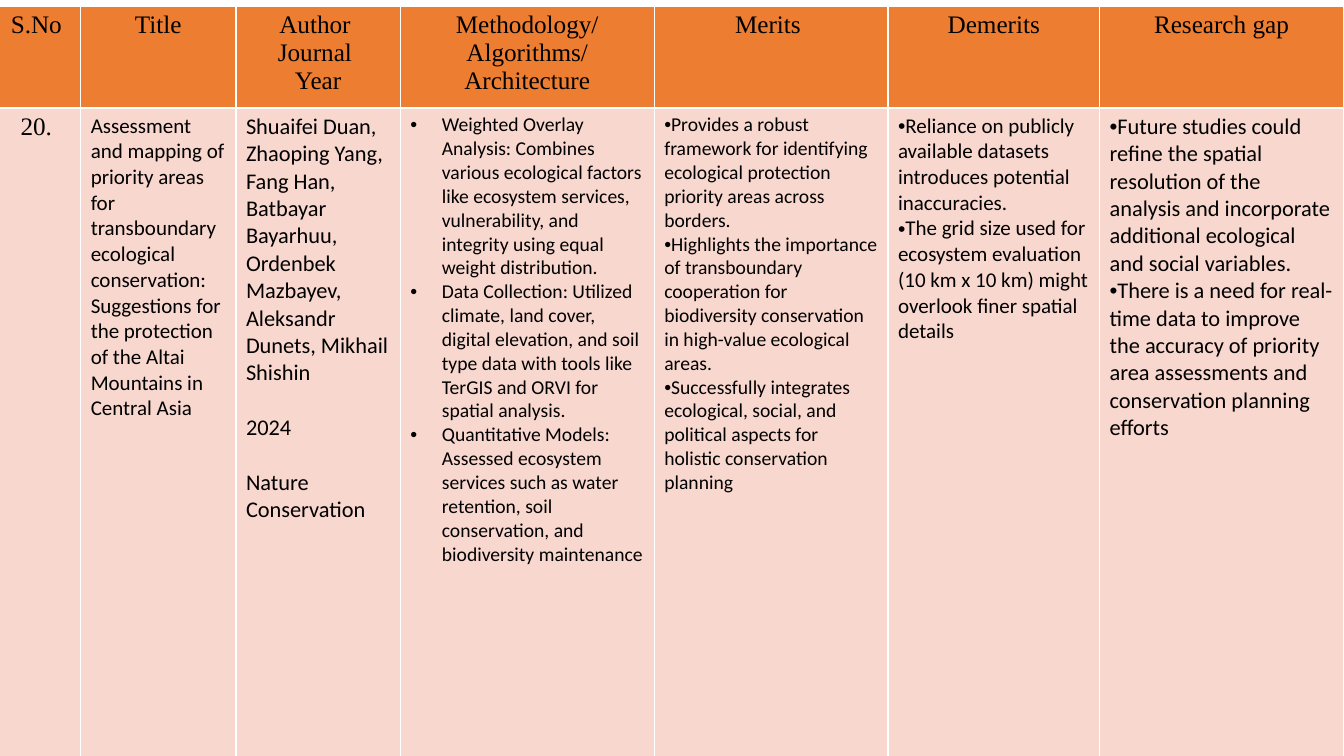
from lxml import etree
from pptx import Presentation
from pptx.dml.color import RGBColor
from pptx.enum import text
from pptx.oxml import ns
from pptx.util import Pt

COLORS = {"header": "ED7D31", "body": "F8D7CE", "line": "FFFFFF", "ink": "000000"}
SERIF, SANS = "Times New Roman", "Calibri"
LEFT, TOP = -5.76, 4.5
ROW_HEIGHTS = [72.7, 468.7]
HEADER_FORMAT = dict(font=SERIF, size=18, centred=True)

# Columns: width, heading lines, body paragraphs, body format
COLUMNS = [
    (63.4, ["S.No"], ["20."], HEADER_FORMAT),
    (110.9, ["Title"],
     ["Assessment and mapping of priority areas for transboundary ecological "
      "conservation: Suggestions for the protection of the Altai Mountains in Central Asia"],
     dict(size=15)),
    (117.4, ["Author ", "Journal ", "Year"],
     ["Shuaifei Duan, Zhaoping Yang, Fang Han, Batbayar Bayarhuu, Ordenbek Mazbayev, "
      "Aleksandr Dunets, Mikhail Shishin",
      "2024",
      "Nature Conservation"],
     dict(size=16, gap=19.6)),
    (181.4, ["Methodology/", "Algorithms/", "Architecture"],
     ["Weighted Overlay Analysis: Combines various ecological factors like ecosystem "
      "services, vulnerability, and integrity using equal weight distribution.",
      "Data Collection: Utilized climate, land cover, digital elevation, and soil type "
      "data with tools like TerGIS and ORVI for spatial analysis.",
      "Quantitative Models: Assessed ecosystem services such as water retention, soil "
      "conservation, and biodiversity maintenance"],
     dict(size=14, bullet=True, indent=22.5)),
    (167, ["Merits "],
     ["Provides a robust framework for identifying ecological protection priority areas "
      "across borders.",
      "Highlights the importance of transboundary cooperation for biodiversity "
      "conservation in high-value ecological areas.",
      "Successfully integrates ecological, social, and political aspects for holistic "
      "conservation planning"],
     dict(size=14, bullet=True)),
    (151.2, ["Demerits"],
     ["Reliance on publicly available datasets introduces potential inaccuracies.",
      "The grid size used for ecosystem evaluation (10 km x 10 km) might overlook finer "
      "spatial details"],
     dict(size=15, bullet=True)),
    (174.2, ["Research gap"],
     ["Future studies could refine the spatial resolution of the analysis and incorporate "
      "additional ecological and social variables.",
      "There is a need for real-time data to improve the accuracy of priority area "
      "assessments and conservation planning efforts"],
     dict(size=16, bullet=True)),
]


def color(name):
    return RGBColor.from_string(COLORS[name])


def add_bullet(para, indent):
    properties = para._p.get_or_add_pPr()
    properties.set("marL", str(Pt(indent)))
    properties.set("indent", str(-Pt(indent)))
    etree.SubElement(properties, ns.qn("a:buFont"), typeface="Arial")
    etree.SubElement(properties, ns.qn("a:buChar"), char="•")


def write(cell, lines, font=SANS, size=16, centred=False, bullet=False, indent=0, gap=0):
    for index, line in enumerate(lines):
        para = cell.text_frame.paragraphs[0] if index == 0 else cell.text_frame.add_paragraph()
        if gap and index:
            para.space_before = Pt(gap)
        if bullet:
            add_bullet(para, indent)
        para.alignment = text.PP_ALIGN.CENTER if centred else text.PP_ALIGN.LEFT
        span = para.add_run()
        span.text = line
        span.font.name = font
        span.font.size = Pt(size)
        span.font.bold = False
        span.font.color.rgb = color("ink")


def paint(cell, fill):
    cell.fill.solid()
    cell.fill.fore_color.rgb = color(fill)
    properties = cell._tc.get_or_add_tcPr()
    for index, side in enumerate("LRTB"):
        border = etree.Element(ns.qn(f"a:ln{side}"), w=str(Pt(1)))
        solid = etree.SubElement(border, ns.qn("a:solidFill"))
        etree.SubElement(solid, ns.qn("a:srgbClr"), val=COLORS["line"])
        properties.insert(index, border)


def main():
    deck = Presentation()
    deck.slide_width, deck.slide_height = Pt(960), Pt(540)
    page = deck.slides.add_slide(deck.slide_layouts[6])

    # Literature survey table
    total_width = sum(column[0] for column in COLUMNS)
    survey = page.shapes.add_table(len(ROW_HEIGHTS), len(COLUMNS), Pt(LEFT), Pt(TOP),
                                   Pt(total_width), Pt(sum(ROW_HEIGHTS))).table
    for row, height in zip(survey.rows, ROW_HEIGHTS):
        row.height = Pt(height)

    # One heading cell and one body cell per column
    for index, (width, heading, body, body_format) in enumerate(COLUMNS):
        survey.columns[index].width = Pt(width)
        rows = [(heading, HEADER_FORMAT, "header"), (body, body_format, "body")]
        for row, (lines, cell_format, fill) in enumerate(rows):
            cell = survey.cell(row, index)
            write(cell, lines, **cell_format)
            paint(cell, fill)

    deck.save("out.pptx")


if __name__ == "__main__":
    main()
